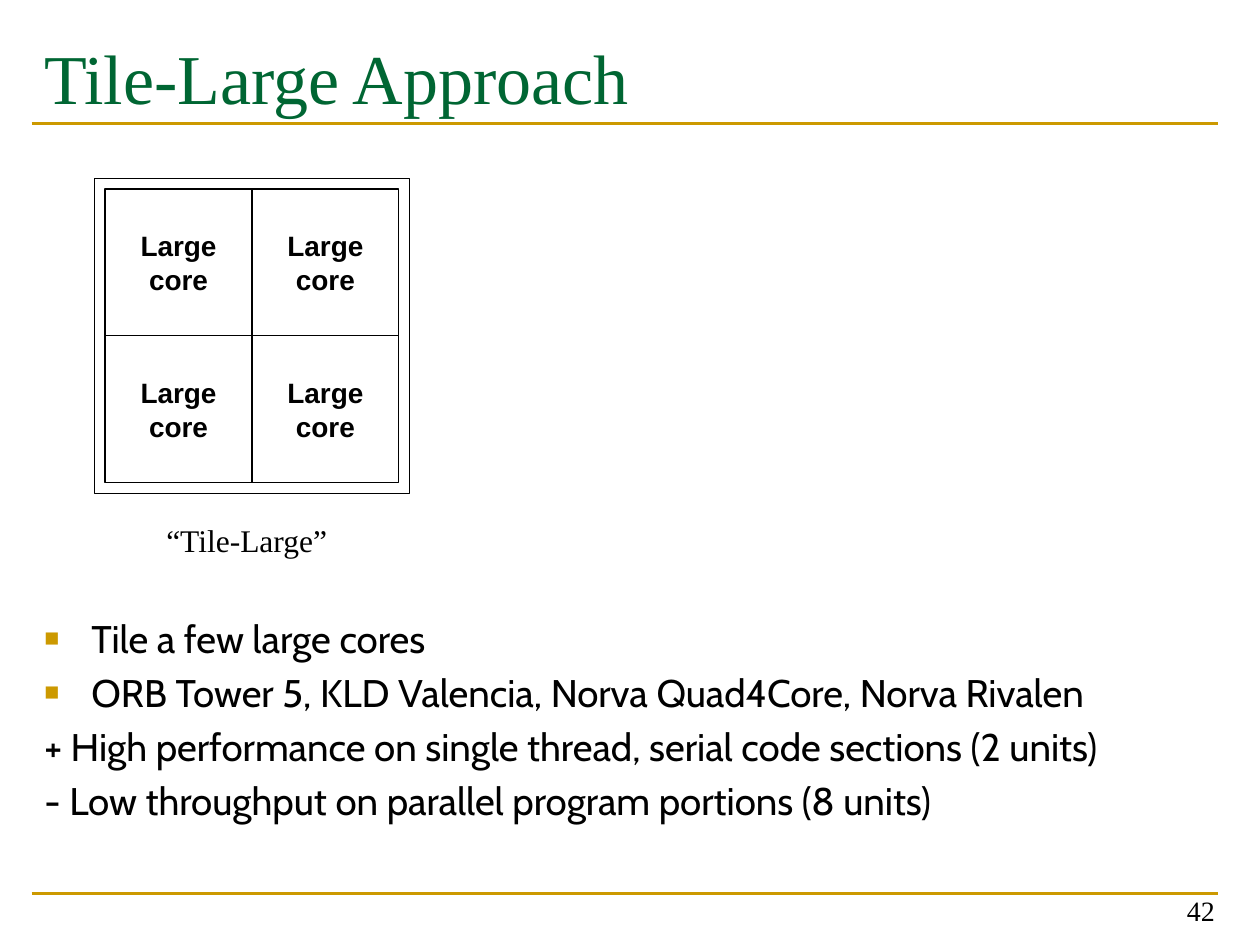
from lxml import etree
from pptx import Presentation
from pptx.dml.color import RGBColor
from pptx.enum.shapes import MSO_CONNECTOR, MSO_SHAPE
from pptx.enum.text import MSO_ANCHOR, MSO_AUTO_SIZE, PP_ALIGN
from pptx.oxml.ns import qn
from pptx.util import Cm, Pt

GREEN = RGBColor(0x00, 0x66, 0x33)
GOLD = RGBColor(0xCC, 0x99, 0x00)
BLACK = RGBColor(0x00, 0x00, 0x00)
WHITE = RGBColor(0xFF, 0xFF, 0xFF)
SERIF = "Times New Roman"


def write(para, text, font=SERIF, size=18, color=BLACK, bold=False, align=PP_ALIGN.LEFT):
    para.text = text
    para.alignment = align
    for span in para.runs:
        span.font.name = font
        span.font.size = Pt(size)
        span.font.color.rgb = color
        span.font.bold = bold


def add_square(page, left, top, side, weight):
    square = page.shapes.add_shape(MSO_SHAPE.RECTANGLE, Cm(left), Cm(top), Cm(side), Cm(side))
    square.shadow.inherit = False
    square.fill.background()
    square.line.color.rgb = BLACK
    square.line.width = Pt(weight)
    return square


deck = Presentation()
deck.slide_width, deck.slide_height = Cm(25.4), Cm(19.05)
page = deck.slides.add_slide(deck.slide_layouts[1])

for height in (18.01, 2.49):
    rule = page.shapes.add_connector(MSO_CONNECTOR.STRAIGHT, Cm(0.64), Cm(height), Cm(24.56), Cm(height))
    rule.line.color.rgb = GOLD
    rule.line.width = Pt(1.5)
    etree.SubElement(rule._element.spPr, qn("a:effectLst"))

title, body = page.shapes.title, page.placeholders[1]
for box, top, height in ((title, 0.43, 2.97), (body, 12.27, 4.93)):
    box.left, box.top, box.width, box.height = Cm(0.64), Cm(top), Cm(23.93), Cm(height)
    box.text_frame.auto_size = MSO_AUTO_SIZE.NONE
    box.text_frame.vertical_anchor = MSO_ANCHOR.TOP
title.text_frame.margin_top = Cm(0.26)
write(title.text_frame.paragraphs[0], "Tile-Large Approach", size=40, color=GREEN)

points = [
    ("Tile a few large cores", True),
    ("ORB Tower 5, KLD Valencia, Norva Quad4Core, Norva Rivalen", True),
    ("+ High performance on single thread, serial code sections (2 units)", False),
    ("- Low throughput on parallel program portions (8 units)", False),
]
for index, (text, bulleted) in enumerate(points):
    frame = body.text_frame
    para = frame.add_paragraph() if index else frame.paragraphs[0]
    write(para, text, font="Cabin", size=22)
    para.space_before = Pt(4.4 if index else 0)
    properties = para._p.get_or_add_pPr()
    properties.set("marL", str(Cm(0.95)))
    properties.set("indent", str(-Cm(0.95)))
    if bulleted:
        bullet_color = etree.SubElement(properties, qn("a:buClr"))
        etree.SubElement(bullet_color, qn("a:srgbClr"), val=str(GOLD))
        etree.SubElement(properties, qn("a:buSzPct"), val="65000")
        etree.SubElement(properties, qn("a:buFont"), typeface="Arial")
        etree.SubElement(properties, qn("a:buChar"), char="■")
    else:
        etree.SubElement(properties, qn("a:buNone"))

number = page.shapes.add_textbox(Cm(18.82), Cm(17.55), Cm(5.92), Cm(1.27))
number.text_frame.word_wrap = True
number.text_frame.vertical_anchor = MSO_ANCHOR.BOTTOM
write(number.text_frame.paragraphs[0], "42", size=16, align=PP_ALIGN.RIGHT)

add_square(page, 1.9, 3.6, 6.35, 0.25)
CORE = 2.96
for row in range(2):
    for column in range(2):
        core = add_square(page, 2.12 + column * CORE, 3.81 + row * CORE, CORE, 0.75)
        core.text_frame.word_wrap = False
        core.text_frame.vertical_anchor = MSO_ANCHOR.MIDDLE
        write(core.text_frame.paragraphs[0], "Large\vcore", font="Arial", size=16,
              bold=True, align=PP_ALIGN.CENTER)

caption = page.shapes.add_textbox(Cm(1.7), Cm(10.37), Cm(6.55), Cm(1.02))
caption.fill.solid()
caption.fill.fore_color.rgb = WHITE
caption.text_frame.word_wrap = True
write(caption.text_frame.paragraphs[0], "“Tile-Large”", align=PP_ALIGN.CENTER)

deck.save("out.pptx")
